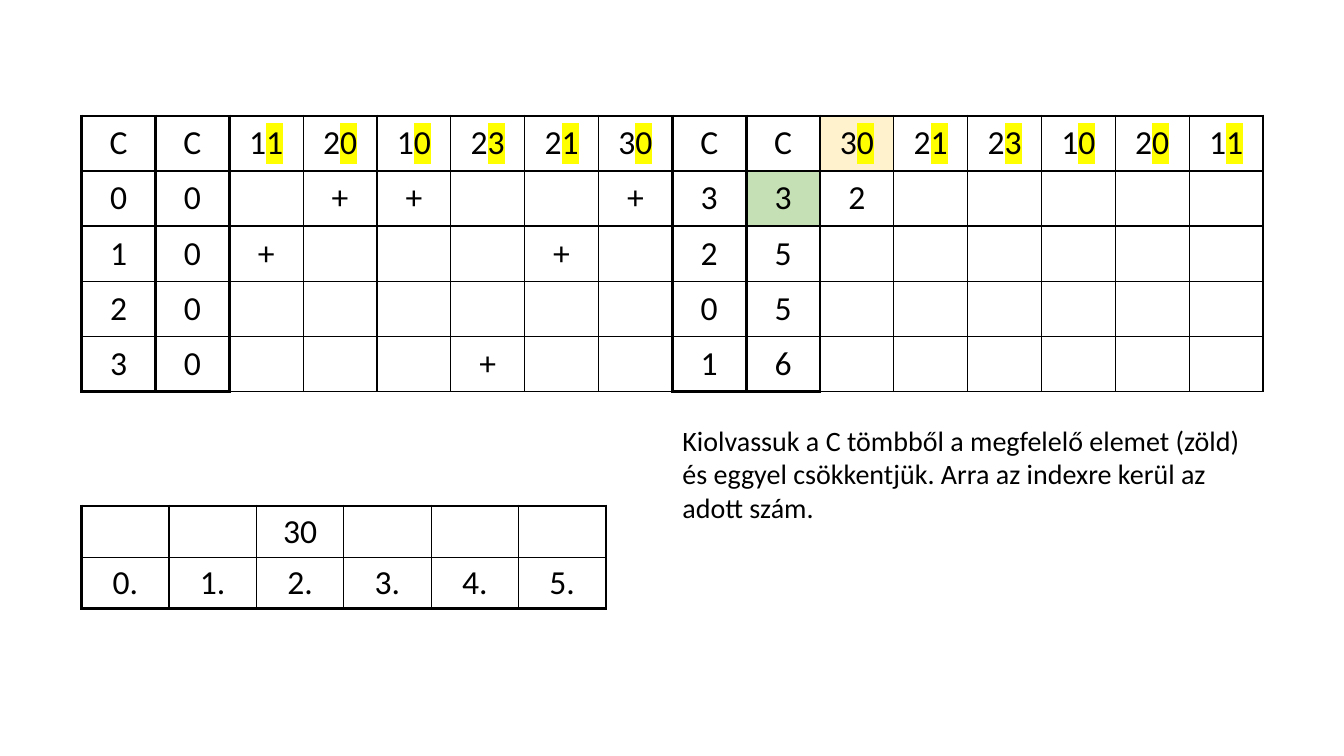
import pptx
import pptx.dml.color
import pptx.enum.text
import pptx.oxml
import pptx.oxml.ns
import pptx.util
from pptx.util import Inches

FONT = "Calibri"
BLACK, YELLOW, GREEN, CREAM = "000000", "FFFF00", "C5E0B4", "FFF2CC"
THIN, THICK = 1, 2.25

COUNTING_ROWS = [
    ["C", "C", "11", "20", "10", "23", "21", "30", "C", "C", "30", "21", "23", "10", "20", "11"],
    ["0", "0", "", "+", "+", "", "", "+", "3", "3", "2", "", "", "", "", ""],
    ["1", "0", "+", "", "", "", "+", "", "2", "5", "", "", "", "", "", ""],
    ["2", "0", "", "", "", "", "", "", "0", "5", "", "", "", "", "", ""],
    ["3", "0", "", "", "", "+", "", "", "1", "6", "", "", "", "", "", ""],
]
COUNTING_FILLS = {(0, 10): CREAM, (1, 9): GREEN}
COUNTER_COLUMNS = (0, 1, 8, 9)
RESULT_ROWS = [
    ["", "", "30", "", "", ""],
    ["0.", "1.", "2.", "3.", "4.", "5."],
]
EXPLANATION = (
    "Kiolvassuk a C tömbből a megfelelő elemet (zöld) és eggyel csökkentjük. "
    "Arra az indexre kerül az adott szám."
)


def color(hex_code):
    return pptx.dml.color.RGBColor.from_string(hex_code)


def set_font(para, size):
    para.font.name = FONT
    para.font.size = pptx.util.Pt(size)
    para.font.color.rgb = color(BLACK)


def add_drawing_xml(parent, tag, attributes, content):
    namespace = pptx.oxml.ns.nsdecls("a")
    parent.append(pptx.oxml.parse_xml(f"<a:{tag} {namespace} {attributes}>{content}</a:{tag}>"))


def highlight(span):
    add_drawing_xml(span.font._element, "highlight", "", f'<a:srgbClr val="{YELLOW}"/>')


def counting_borders(row, column):
    """Widths left, right, top, bottom: header and counter columns are framed."""
    counter = column in COUNTER_COLUMNS
    header = row == 0
    last_row = row == len(COUNTING_ROWS) - 1
    last_header = header and column == len(COUNTING_ROWS[0]) - 1
    return (
        counter or column - 1 in COUNTER_COLUMNS,
        counter or column + 1 in COUNTER_COLUMNS or last_header,
        row <= 1,
        header or (counter and last_row),
    )


def result_borders(row, column):
    """Only the outer frame is thick."""
    last_row, last_column = len(RESULT_ROWS) - 1, len(RESULT_ROWS[0]) - 1
    return column == 0, column == last_column, row == 0, row == last_row


def add_grid(page, rows, place, borders, fills, side_margin, end_margin, mark_last_digit):
    frame = page.shapes.add_table(len(rows), len(rows[0]), *map(Inches, place))
    table = frame.table
    table.first_row = table.horz_banding = False
    for row, texts in enumerate(rows):
        for column, text in enumerate(texts):
            cell = table.cell(row, column)
            cell.margin_left = cell.margin_right = Inches(side_margin)
            cell.margin_top = cell.margin_bottom = Inches(end_margin)
            cell.vertical_anchor = pptx.enum.text.MSO_ANCHOR.MIDDLE
            properties = cell._tc.get_or_add_tcPr()
            for side, thick in zip("LRTB", borders(row, column)):
                width = pptx.util.Pt(THICK if thick else THIN)
                add_drawing_xml(properties, f"ln{side}", f'w="{width}"',
                                f'<a:solidFill><a:srgbClr val="{BLACK}"/></a:solidFill>')
            if (row, column) in fills:
                cell.fill.solid()
                cell.fill.fore_color.rgb = color(fills[row, column])
            else:
                cell.fill.background()
            para = cell.text_frame.paragraphs[0]
            para.alignment = pptx.enum.text.PP_ALIGN.CENTER
            set_font(para, 24)
            if mark_last_digit and len(text) == 2:
                para.add_run().text = text[0]
                last_digit = para.add_run()
                last_digit.text = text[1]
                highlight(last_digit)
            elif text:
                para.add_run().text = text


def main():
    deck = pptx.Presentation()
    deck.slide_width, deck.slide_height = Inches(13.33), Inches(7.5)
    page = deck.slides.add_slide(deck.slide_layouts[6])

    add_grid(page, COUNTING_ROWS, (0.81, 1.15, 11.72, 2.69), counting_borders,
             COUNTING_FILLS, 0.13, 0.07, True)
    add_grid(page, RESULT_ROWS, (0.81, 5.02, 5.2, 1.02), result_borders,
             {}, 0.1, 0.05, False)

    box = page.shapes.add_textbox(Inches(6.67), Inches(4.15), Inches(5.86), Inches(1.11))
    box.text_frame.word_wrap = True
    para = box.text_frame.paragraphs[0]
    para.add_run().text = EXPLANATION
    set_font(para, 20)
    deck.save("out.pptx")


if __name__ == "__main__":
    main()
